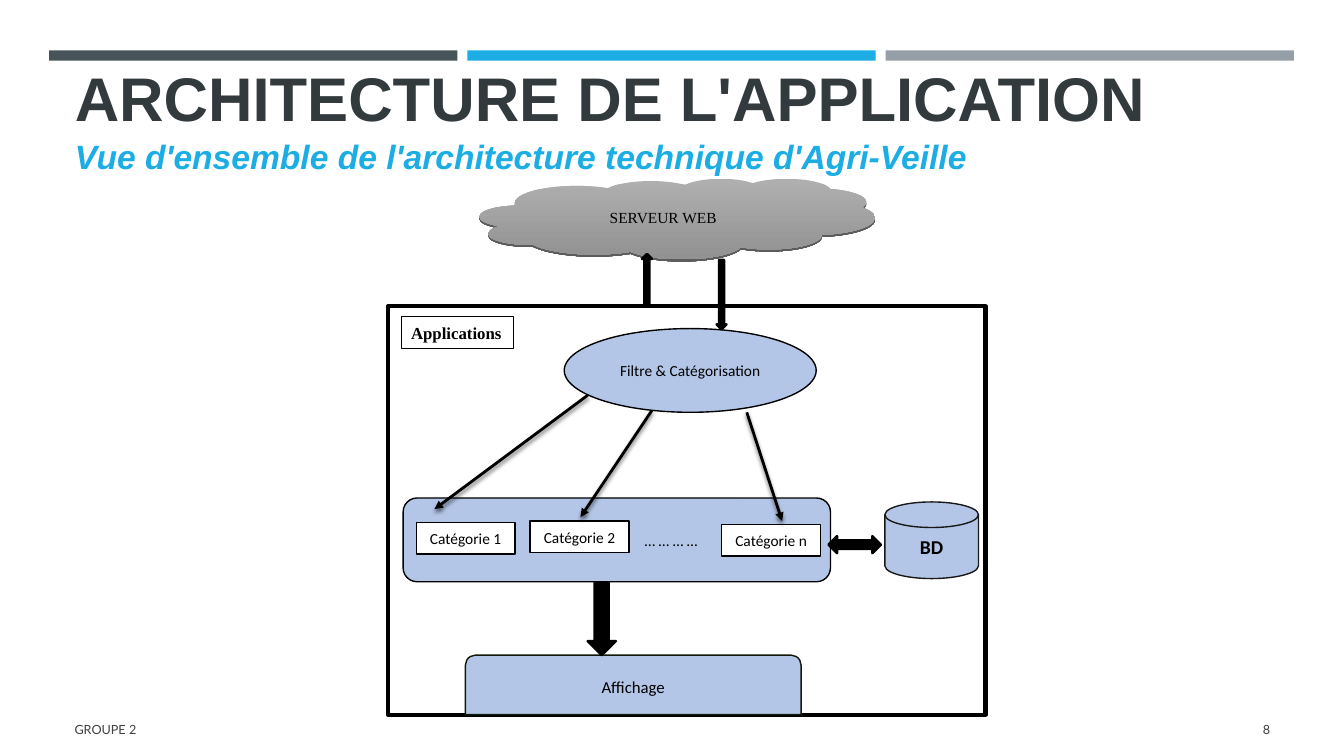
from dataclasses import dataclass

from lxml.etree import SubElement
from pptx import Presentation
from pptx.dml.color import RGBColor as Rgb
from pptx.enum.shapes import MSO_CONNECTOR, MSO_SHAPE as Kind
from pptx.enum.text import MSO_ANCHOR, PP_ALIGN as Align
from pptx.oxml.ns import qn
from pptx.util import Cm, Pt


@dataclass(frozen=True)
class Theme:
    black: str = "000000"
    white: str = "FFFFFF"
    slate: str = "465359"
    cyan: str = "1CADE4"
    silver: str = "969FA7"
    heading: str = "333A3E"
    footer: str = "404040"
    module: str = "B4C6E7"
    cloud_top: str = "AFAFAF"
    cloud_bottom: str = "929292"
    title_size: int = 44
    subtitle_size: int = 24
    database_size: int = 14
    block_size: int = 12
    label_size: int = 11
    footer_size: int = 9
    title_font: str = "Arial"
    label_font: str = "Calibri"
    serif_font: str = "Times New Roman"
    footer_font: str = "Lato"


theme = Theme()


def write(box, text, size=theme.label_size, font=theme.label_font, color=theme.black,
          bold=False, italic=False, align=Align.CENTER, anchor=MSO_ANCHOR.MIDDLE):
    frame = box.text_frame
    frame.word_wrap = True
    frame.vertical_anchor = anchor
    para = frame.paragraphs[0]
    para.alignment = align
    span = para.add_run()
    span.text = text
    span.font.size = Pt(size)
    span.font.name = font
    span.font.bold = bold
    span.font.italic = italic
    span.font.color.rgb = Rgb.from_string(color)
    return para


def add_block(kind, place, fill, line_width=0, line_color=theme.black):
    """Add a flat shape; place is left, top, width, height in centimetres."""
    box = page.shapes.add_shape(kind, *map(Cm, place))
    box.shadow.inherit = False
    box.fill.solid()
    box.fill.fore_color.rgb = Rgb.from_string(fill)
    if line_width:
        box.line.width = Pt(line_width)
        box.line.color.rgb = Rgb.from_string(line_color)
    else:
        box.line.fill.background()
    return box


deck = Presentation()
deck.slide_width, deck.slide_height = Cm(33.87), Cm(19.05)
page = deck.slides.add_slide(deck.slide_layouts[1])

# Header
for column, color in enumerate((theme.slate, theme.cyan, theme.silver)):
    add_block(Kind.RECTANGLE, (1.24 + column * 10.54, 1.27, 10.29, 0.26), color)

title, subtitle = page.placeholders
for box, top, height in ((title, 0.2, 3.3), (subtitle, 3.5, 1.6)):
    box.left, box.top, box.width, box.height = map(Cm, (1.63, top, 30.63, height))
write(title, "ARCHITECTURE DE L'APPLICATION", theme.title_size, theme.title_font,
      theme.heading, bold=True, align=Align.LEFT, anchor=MSO_ANCHOR.BOTTOM)
para = write(subtitle, "Vue d'ensemble de l'architecture technique d'Agri-Veille",
             theme.subtitle_size, theme.title_font, theme.cyan,
             bold=True, italic=True, align=Align.LEFT)
para.line_spacing = 1.1
para.space_before = Pt(0)
subtitle.text_frame.margin_top = Cm(0)
subtitle.text_frame.margin_bottom = Cm(0.84)
properties = para._p.get_or_add_pPr()
properties.set("marL", "0")
properties.set("indent", "0")
SubElement(properties, qn("a:buNone"))

# Web server and application frame
cloud = add_block(Kind.CLOUD, (12.09, 4.5, 9.96, 2.03), theme.cloud_top)
cloud.fill.gradient()
cloud.fill.gradient_angle = 270
for stop, color in zip(cloud.fill.gradient_stops, (theme.cloud_top, theme.cloud_bottom)):
    stop.color.rgb = Rgb.from_string(color)
write(cloud, "SERVEUR WEB", font=theme.serif_font)
add_block(Kind.RECTANGLE, (9.78, 7.72, 15.06, 10.29), theme.white, 3)

# Processing modules
sorting = add_block(Kind.OVAL, (14.22, 8.28, 6.35, 2.11), theme.module, 1)
write(sorting, "Filtre & Catégorisation")
categories = add_block(Kind.ROUNDED_RECTANGLE, (10.16, 12.55, 10.77, 2.11), theme.module, 1)
write(categories, "… … … …")
categories.text_frame.margin_left = Cm(2.99)
for name, left, top in (("1", 10.49, 13.16), ("2", 13.36, 13.13), ("n", 18.19, 13.21)):
    write(add_block(Kind.RECTANGLE, (left, top, 2.49, 0.8), theme.white, 1),
          f"Catégorie {name}")

shadows = [(cloud, 63, 0, 1.5)]
for ends in ((14.81, 9.96, 10.95, 12.83), (16.43, 10.34, 14.63, 13.03),
             (18.82, 10.39, 19.71, 13.13)):
    arrow = page.shapes.add_connector(MSO_CONNECTOR.STRAIGHT, *map(Cm, ends))
    arrow.line.width = Pt(2)
    arrow.line.color.rgb = Rgb.from_string(theme.black)
    outline = arrow._element.spPr.find(qn("a:ln"))
    SubElement(outline, qn("a:tailEnd"), type="triangle")
    SubElement(arrow._element.spPr, qn("a:effectLst"))
    shadows.append((arrow, 55, 3, 2))

for item, opacity, blur, distance in shadows:
    effects = item._element.spPr.find(qn("a:effectLst"))
    shadow = SubElement(effects, qn("a:outerShdw"), blurRad=str(Pt(blur)),
                        dist=str(Pt(distance)), dir="5400000", rotWithShape="0")
    tint = SubElement(shadow, qn("a:srgbClr"), val=theme.black)
    SubElement(tint, qn("a:alpha"), val=str(opacity * 1000))

display = add_block(Kind.ROUND_2_SAME_RECTANGLE, (11.73, 16.51, 8.46, 1.5),
                    theme.module, 1, "10190A")
write(display, "Affichage", theme.block_size)
label = add_block(Kind.RECTANGLE, (10.11, 7.98, 2.84, 0.79), theme.white, 0.5)
write(label, "Applications", theme.block_size, theme.serif_font, bold=True, align=Align.LEFT)
database = add_block(Kind.FLOWCHART_MAGNETIC_DISK, (22.3, 12.65, 2.36, 1.93),
                     theme.module, 1, "181818")
write(database, "BD", theme.database_size, bold=True)

# Data flows
for kind, place in (
    (Kind.DOWN_ARROW, (14.81, 14.68, 0.71, 1.83)),
    (Kind.DOWN_ARROW, (18.06, 6.55, 0.25, 1.75)),
    (Kind.UP_ARROW, (16.18, 6.4, 0.25, 1.27)),
    (Kind.LEFT_RIGHT_ARROW, (20.88, 13.51, 1.32, 0.43)),
):
    add_block(kind, place, theme.black, 1.75)

# Footer
for text, left, width, align in (("GROUPE 2", 1.63, 19.2, Align.LEFT),
                                 ("8", 29.34, 2.92, Align.RIGHT)):
    box = page.shapes.add_textbox(Cm(left), Cm(17.86), Cm(width), Cm(1.02))
    write(box, text, theme.footer_size, theme.footer_font, theme.footer, align=align)

deck.save("out.pptx")
